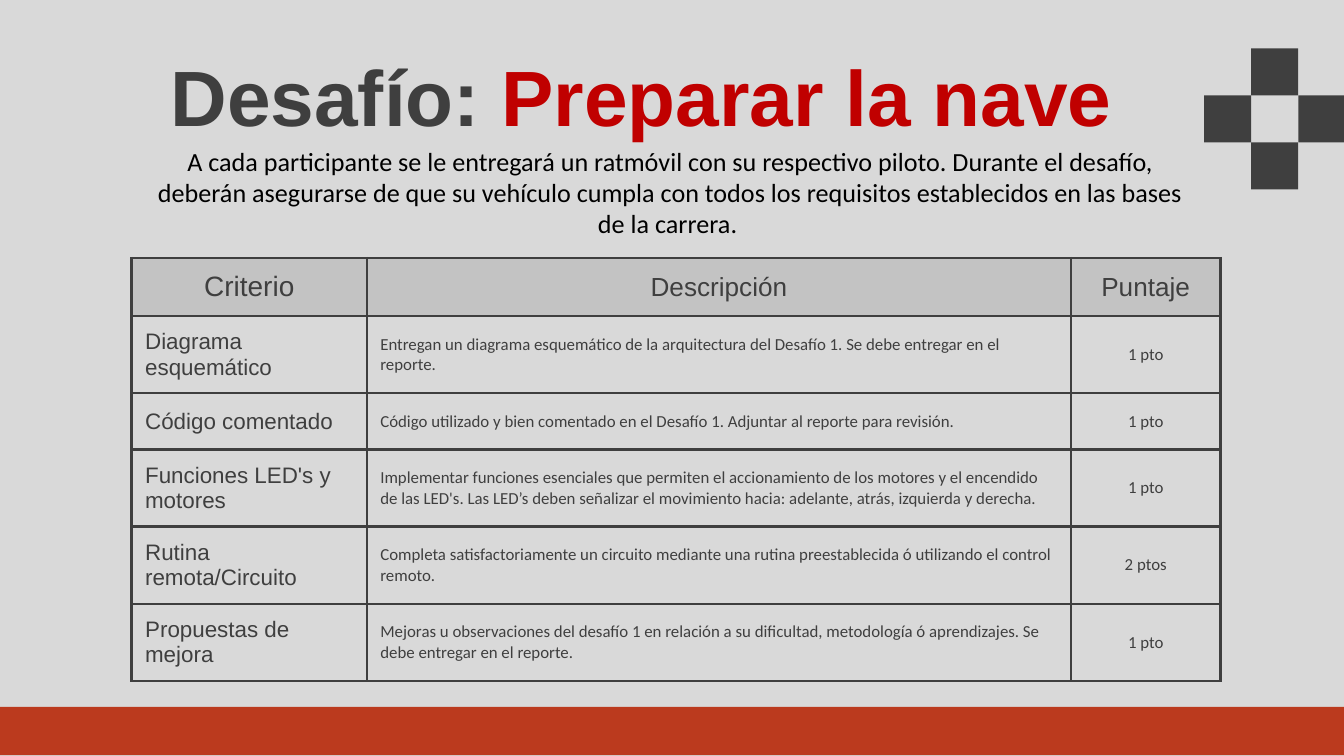
"""Build the challenge slide with its scoring table."""
import pptx
import pptx.dml.color
import pptx.enum.shapes
import pptx.enum.text
import pptx.oxml
import pptx.oxml.ns
import pptx.util
from dataclasses import dataclass
from pptx.util import Inches


@dataclass
class Theme:
    paper: str = "D9D9D9"
    header: str = "C3C3C3"
    dark: str = "3F3F3F"
    band: str = "BB3A1E"
    accent: str = "C00000"
    black: str = "000000"
    heading: str = "Arial"
    body: str = "Calibri"
    title_size: int = 42
    intro_size: int = 14
    criterion_size: int = 12
    detail_size: int = 9
    header_sizes: tuple = (15, 14, 14)


theme = Theme()
rgb = pptx.dml.color.RGBColor.from_string
PP_ALIGN = pptx.enum.text.PP_ALIGN
ANCHOR = pptx.enum.text.MSO_ANCHOR
RECTANGLE = pptx.enum.shapes.MSO_SHAPE.RECTANGLE


def add_text(p, text, size, font=theme.body, color=theme.dark, bold=False, align=PP_ALIGN.LEFT):
    p.alignment = align
    r = p.add_run()
    r.text = text
    r.font.size = pptx.util.Pt(size)
    r.font.name = font
    r.font.bold = bold
    r.font.color.rgb = rgb(color)


def add_block(shapes, x, y, w, h, color):
    sp = shapes.add_shape(RECTANGLE, Inches(x), Inches(y), Inches(w), Inches(h))
    sp.shadow.inherit = False
    sp.fill.solid()
    sp.fill.fore_color.rgb = rgb(color)
    sp.line.fill.background()


prs = pptx.Presentation()
prs.slide_width = Inches(10)
prs.slide_height = prs.slide_width * 9 // 16
s = prs.slides.add_slide(prs.slide_layouts[5])
s.background.fill.solid()
s.background.fill.fore_color.rgb = rgb(theme.paper)

add_block(s.shapes, 0, 5.26, 10, 0.36, theme.band)
side = 0.35
cross = s.shapes.add_group_shape()
for col, row in ((1, 2), (0, 1), (2, 1), (1, 0)):
    add_block(cross.shapes, 8.96 + col * side, 0.36 + row * side, side, side, theme.dark)

title = s.shapes.title
title.left, title.top, title.width, title.height = Inches(0.55), Inches(0.26), Inches(8.44), Inches(0.77)
tf = title.text_frame
tf.auto_size = pptx.enum.text.MSO_AUTO_SIZE.NONE
tf.vertical_anchor = ANCHOR.TOP
tf.margin_left = tf.margin_right = tf.margin_top = tf.margin_bottom = Inches(0.1)
for text, color in (("Desafío: ", theme.dark), ("Preparar la nave", theme.accent)):
    add_text(tf.paragraphs[0], text, theme.title_size, font=theme.heading, color=color,
             bold=True, align=PP_ALIGN.CENTER)

rows = [
    ("Criterio", "Descripción", "Puntaje"),
    ("Diagrama esquemático",
     "Entregan un diagrama esquemático de la arquitectura del Desafío 1. "
     "Se debe entregar en el reporte.", "1 pto"),
    ("Código comentado",
     "Código utilizado y bien comentado en el Desafío 1. Adjuntar al reporte para revisión.", "1 pto"),
    ("Funciones LED's y motores",
     "Implementar funciones esenciales que permiten el accionamiento de los motores y el encendido "
     "de las LED's. Las LED’s deben señalizar el movimiento hacia: adelante, atrás, izquierda y derecha.",
     "1 pto"),
    ("Rutina remota/Circuito",
     "Completa satisfactoriamente un circuito mediante una rutina preestablecida ó utilizando "
     "el control remoto.", "2 ptos"),
    ("Propuestas de mejora",
     "Mejoras u observaciones del desafío 1 en relación a su dificultad, metodología ó aprendizajes. "
     "Se debe entregar en el reporte.", "1 pto"),
]
widths = (1.75, 5.24, 1.11)
heights = (0.43, 0.57, 0.42, 0.57, 0.57, 0.57)
table = s.shapes.add_table(len(rows), len(widths), Inches(0.98), Inches(1.92),
                           Inches(sum(widths)), Inches(sum(heights))).table
table.first_row = table.horz_banding = False
for column, width in zip(table.columns, widths):
    column.width = Inches(width)
for i, (row, height) in enumerate(zip(rows, heights)):
    table.rows[i].height = Inches(height)
    for j, text in enumerate(row):
        cell = table.cell(i, j)
        tcPr = cell._tc.get_or_add_tcPr()
        for edge in ("lnL", "lnR", "lnT", "lnB"):
            tcPr.append(pptx.oxml.parse_xml(
                f'<a:{edge} {pptx.oxml.ns.nsdecls("a")} w="{pptx.util.Pt(1.5)}"><a:solidFill>'
                f'<a:srgbClr val="{theme.dark}"/></a:solidFill></a:{edge}>'))
        cell.vertical_anchor = ANCHOR.MIDDLE
        cell.margin_left = cell.margin_right = cell.margin_top = cell.margin_bottom = Inches(0.1)
        if i == 0:
            cell.fill.solid()
            cell.fill.fore_color.rgb = rgb(theme.header)
            size = theme.header_sizes[j]
        else:
            cell.fill.background()
            size = theme.criterion_size if j == 0 else theme.detail_size
        add_text(cell.text_frame.paragraphs[0], text, size,
                 font=theme.heading if i == 0 or j == 0 else theme.body,
                 align=PP_ALIGN.CENTER if i == 0 or j == 2 else PP_ALIGN.LEFT)

intro = s.shapes.add_textbox(Inches(0.99), Inches(1.03), Inches(8), Inches(0.81))
tf = intro.text_frame
tf.word_wrap = True
tf.auto_size = pptx.enum.text.MSO_AUTO_SIZE.SHAPE_TO_FIT_TEXT
add_text(tf.paragraphs[0],
         "A cada participante se le entregará un ratmóvil con su respectivo piloto. Durante el desafío, "
         "deberán asegurarse de que su vehículo cumpla con todos los requisitos establecidos en las bases "
         "de la carrera. ", theme.intro_size, color=theme.black, align=PP_ALIGN.CENTER)

prs.save("out.pptx")
